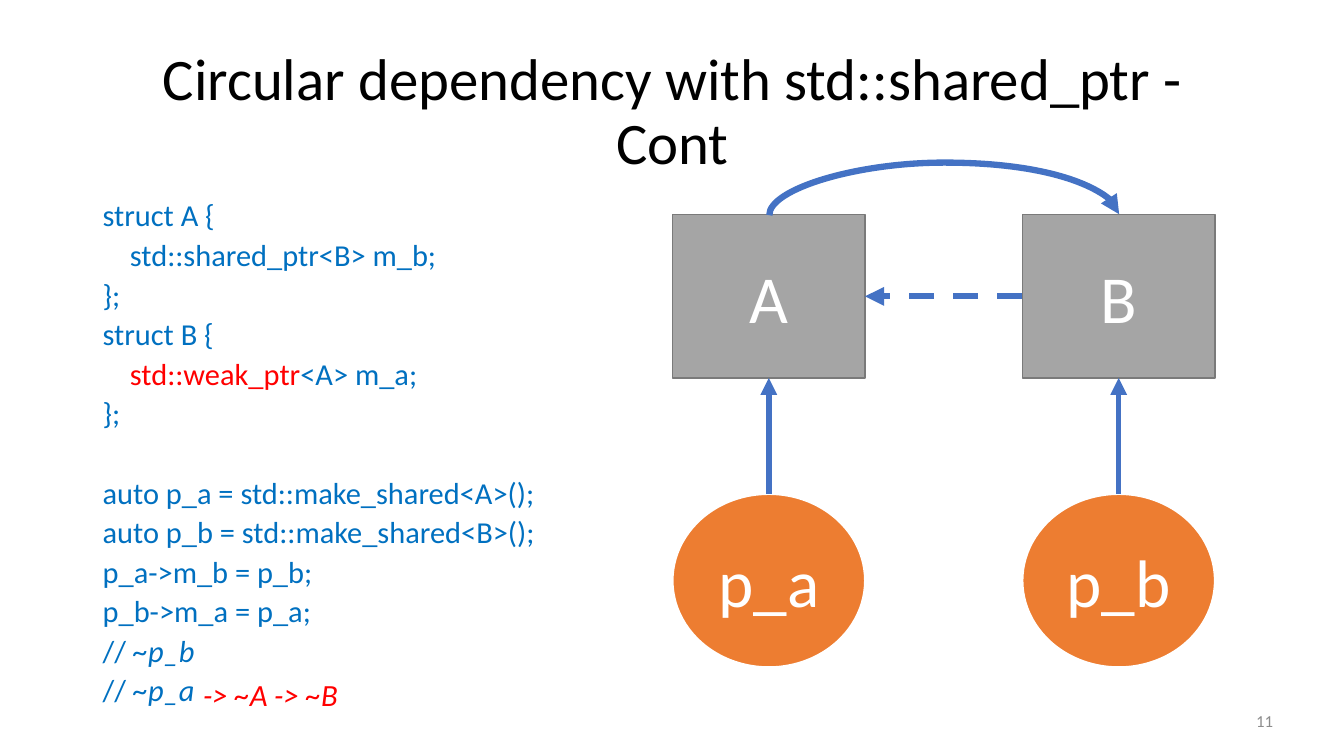
from lxml import etree
from pptx import Presentation
from pptx.dml.color import RGBColor
from pptx.enum.dml import MSO_LINE
from pptx.enum.shapes import MSO_CONNECTOR as CONN, MSO_SHAPE as SHAPE
from pptx.enum.text import MSO_ANCHOR as ANCHOR, PP_ALIGN as ALIGN
from pptx.oxml.ns import qn
from pptx.util import Inches, Pt

COLORS = {
    "black": "000000", "white": "FFFFFF", "code": "0070C0", "red": "FF0000",
    "number": "8C8C8C", "box": "A5A5A5", "box_line": "7A7A7A",
    "circle": "ED7D31", "arrow": "4472C4",
}
FONT = "Calibri"
CODE_SIZE = 21.7
TOP, LEFT, BOTTOM, RIGHT = range(4)

# Each code line: runs of (text, format), indent in inches, space before in points
INDENT = 0.27
CODE = [
    ([("struct A {", {})], 0, 10),
    ([("std::shared_ptr<B> m_b;", {})], INDENT, 10),
    ([("};", {})], 0, 10),
    ([("struct B {", {})], 0, 10),
    ([("std::weak_ptr", {"color": "red"}), ("<A> m_a;", {})], INDENT, 10),
    ([("};", {})], 0, 10),
    ([("auto p_a = std::make_shared<A>();", {})], 0, 38.5),
    ([("auto p_b = std::make_shared<B>();", {})], 0, 10),
    ([("p_a->m_b = p_b;", {})], 0, 10),
    ([("p_b->m_a = p_a;", {})], 0, 10),
    ([("// ", {}), ("~p_b", {"italic": True})], 0, 10),
    ([("// ", {}), ("~p_a", {"italic": True})], 0, 10),
]


def rgb(name):
    return RGBColor.from_string(COLORS[name])


def add_run(p, text, size=CODE_SIZE, color="code", italic=False):
    r = p.add_run()
    r.text = text
    r.font.name = FONT
    r.font.size = Pt(size)
    r.font.color.rgb = rgb(color)
    r.font.italic = italic


def add_frame(s, x, y, w, h, anchor=ANCHOR.TOP):
    tf = s.shapes.add_textbox(Inches(x), Inches(y), Inches(w), Inches(h)).text_frame
    tf.word_wrap = True
    tf.vertical_anchor = anchor
    return tf


def add_text(s, text, x, y, w, h, align=ALIGN.CENTER, anchor=ANCHOR.TOP,
             spacing=1.0, **fmt):
    p = add_frame(s, x, y, w, h, anchor).paragraphs[0]
    p.alignment = align
    p.line_spacing = spacing
    add_run(p, text, **fmt)


def add_code(s, x, y, w, h):
    tf = add_frame(s, x, y, w, h)
    for i, (runs, indent, before) in enumerate(CODE):
        p = tf.add_paragraph() if i else tf.paragraphs[0]
        p.line_spacing = 0.7
        p.space_before = Pt(before)
        p._p.get_or_add_pPr().set("marL", str(Inches(indent)))
        for text, fmt in runs:
            add_run(p, text, **fmt)


def add_node(s, kind, text, x, y, h, fill, line, width):
    sp = s.shapes.add_shape(kind, Inches(x), Inches(y), Inches(1.91), Inches(h))
    sp.shadow.inherit = False
    sp.fill.solid()
    sp.fill.fore_color.rgb = rgb(fill)
    sp.line.color.rgb = rgb(line)
    sp.line.width = Pt(width)
    tf = sp.text_frame
    tf.vertical_anchor = ANCHOR.MIDDLE
    p = tf.paragraphs[0]
    p.alignment = ALIGN.CENTER
    add_run(p, text, size=48, color="white")
    return sp


def add_arrow(s, kind, x1, y1, x2, y2, width, dash=None):
    c = s.shapes.add_connector(kind, Inches(x1), Inches(y1), Inches(x2), Inches(y2))
    c.line.color.rgb = rgb("arrow")
    c.line.width = Pt(width)
    if dash:
        c.line.dash_style = dash
    etree.SubElement(c.line._get_or_add_ln(), qn("a:tailEnd"), type="triangle")
    etree.SubElement(c._element.spPr, qn("a:effectLst"))
    return c


def join(s, start, start_side, end, end_side, width, dash=None):
    c = add_arrow(s, CONN.STRAIGHT, 0, 0, 0, 0, width, dash)
    c.begin_connect(start, start_side)
    c.end_connect(end, end_side)


def add_arc(s, x1, x2, y, rise, width):
    """Curved arrow over the boxes: a thin S-connector turned by 90 degrees."""
    thin = 0.01
    mid, half = (x1 + x2) / 2, (x2 - x1) / 2
    c = add_arrow(s, CONN.CURVE, mid + thin / 2, y + half, mid - thin / 2, y - half, width)
    c._element.spPr.find(qn("a:xfrm")).set("rot", str(90 * 60000))
    geom = c._element.spPr.find(qn("a:prstGeom"))
    guides = geom.find(qn("a:avLst"))
    if guides is None:
        guides = etree.SubElement(geom, qn("a:avLst"))
    etree.SubElement(guides, qn("a:gd"), name="adj1",
                     fmla=f"val {round(rise / thin * 100000)}")


def main():
    prs = Presentation()
    prs.slide_width, prs.slide_height = Inches(13.33), Inches(7.5)
    s = prs.slides.add_slide(prs.slide_layouts[6])

    # Title, code and slide number
    add_text(s, "Circular dependency with std::shared_ptr - Cont", 0.92, 0.4, 11.5, 1.45,
             anchor=ANCHOR.MIDDLE, spacing=0.9, size=42, color="black")
    add_code(s, 0.92, 2, 11.5, 5.35)
    add_text(s, "11", 12.36, 6.95, 0.74, 0.4, align=ALIGN.LEFT,
             anchor=ANCHOR.MIDDLE, size=12, color="number")

    # Objects and the pointers that own them
    boxes = []
    for x, name, pointer in ((6.67, "A", "p_a"), (10.14, "B", "p_b")):
        box = add_node(s, SHAPE.RECTANGLE, name, x, 2.13, 1.62, "box", "box_line", 1)
        circle = add_node(s, SHAPE.OVAL, pointer, x, 4.9, 1.72, "circle", "white", 1.5)
        join(s, circle, TOP, box, BOTTOM, 4)
        boxes.append(box)

    # Shared pointer from A to B, weak pointer back
    a, b = boxes
    add_arc(s, 7.63, 11.1, 2.13, 0.53, 4.5)
    join(s, b, LEFT, a, RIGHT, 4.5, MSO_LINE.DASH)

    # Destruction order
    for x, text in ((1.85, "-> ~A"), (2.55, "-> ~B")):
        add_text(s, text, x, 6.65, 0.97, 0.47, size=22, color="red", italic=True)

    prs.save("out.pptx")


if __name__ == "__main__":
    main()
